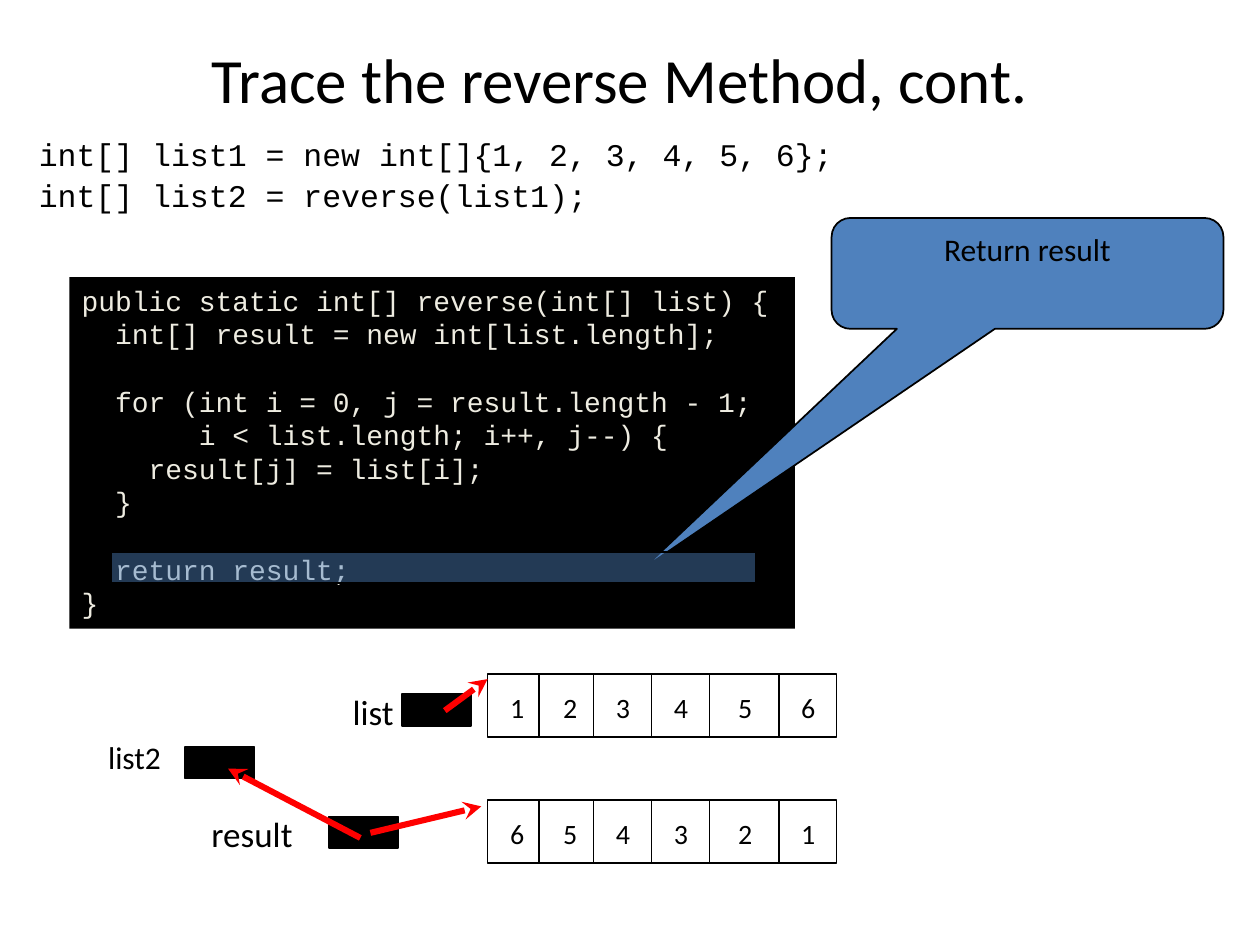
from dataclasses import dataclass

from lxml import etree
from pptx import Presentation
from pptx import util as u
from pptx.dml.color import RGBColor
from pptx.enum import shapes, text
from pptx.oxml import ns


@dataclass(frozen=True)
class Theme:
    black: str = "000000"
    cream: str = "EEECE1"
    blue: str = "4F81BD"
    red: str = "FF0000"
    body: str = "Calibri"
    mono: str = "Courier New"
    title_size: int = 36
    name_size: int = 20
    text_size: int = 18
    code_size: int = 16
    thin: float = 1
    thick: float = 3.5


class TraceSlide:
    def __init__(self, slide, theme):
        self.slide = slide
        self.theme = theme

    def set_words(self, frame, words, size, font=None, color=None,
                  align=text.PP_ALIGN.LEFT, anchor=text.MSO_ANCHOR.TOP):
        frame.word_wrap = True
        frame.vertical_anchor = anchor
        frame.text = words
        for line in frame.paragraphs:
            line.alignment = align
            for run in line.runs:
                run.font.size = u.Pt(size)
                run.font.name = font or self.theme.body
                run.font.color.rgb = RGBColor.from_string(color or self.theme.black)

    def label(self, box, words, size, grow=True, **style):
        frame = self.slide.shapes.add_textbox(*map(u.Inches, box)).text_frame
        self.set_words(frame, words, size, **style)
        if grow:
            frame.auto_size = text.MSO_AUTO_SIZE.SHAPE_TO_FIT_TEXT
        return frame

    def block(self, box, fill=None, outlined=True, alpha=None,
              kind=shapes.MSO_SHAPE.RECTANGLE):
        block = self.slide.shapes.add_shape(kind, *map(u.Inches, box))
        block.shadow.inherit = False
        if fill:
            block.fill.solid()
            block.fill.fore_color.rgb = RGBColor.from_string(fill)
        else:
            block.fill.background()
        if alpha:
            color = block._element.spPr.find(".//" + ns.qn("a:srgbClr"))
            etree.SubElement(color, ns.qn("a:alpha"), val=str(alpha * 1000))
        if outlined:
            block.line.color.rgb = RGBColor.from_string(self.theme.black)
            block.line.width = u.Pt(self.theme.thin)
        else:
            block.line.fill.background()
        return block

    def line(self, start, end, color, width, arrow=False):
        line = self.slide.shapes.add_connector(
            shapes.MSO_CONNECTOR.STRAIGHT, *map(u.Inches, (*start, *end)))
        line.line.color.rgb = RGBColor.from_string(color)
        line.line.width = u.Pt(width)
        properties = line._element.spPr
        if arrow:
            etree.SubElement(properties.find(ns.qn("a:ln")), ns.qn("a:tailEnd"),
                             type="stealth")
        etree.SubElement(properties, ns.qn("a:effectLst"))

    def arrow(self, start, end):
        self.line(start, end, self.theme.red, self.theme.thick, arrow=True)

    def array(self, top, values, edges, digit_lefts, height=0.5):
        self.block((edges[0], top, edges[-1] - edges[0], height))
        for x in edges[1:-1]:
            self.line((x, top), (x, top + height), self.theme.black, self.theme.thin)
        for left, value in zip(digit_lefts, values):
            self.label((left, top + 0.08, 0.25, 0.37), str(value), self.theme.code_size)

    def variable(self, name, name_box, size, slot):
        self.label(name_box, name, size)
        self.block((*slot, 0.55, 0.25), self.theme.black)


REVERSE_METHOD = """public static int[] reverse(int[] list) {
  int[] result = new int[list.length];
 
  for (int i = 0, j = result.length - 1;
       i < list.length; i++, j--) {
    result[j] = list[i];
  }
 
  return result;
}"""
CALLS = """int[] list1 = new int[]{1, 2, 3, 4, 5, 6};
int[] list2 = reverse(list1);"""
CELL_EDGES = (3.87, 4.28, 4.71, 5.17, 5.63, 6.18, 6.64)
DIGIT_LEFTS = (3.95, 4.37, 4.79, 5.25, 5.76, 6.26)


def main():
    deck = Presentation()
    deck.slide_width, deck.slide_height = u.Inches(10), u.Inches(7.5)
    theme = Theme()
    trace = TraceSlide(deck.slides.add_slide(deck.slide_layouts[6]), theme)

    # Title
    trace.label((0.67, 0.33, 8.5, 0.58), "Trace the reverse Method, cont.",
                theme.title_size, grow=False, align=text.PP_ALIGN.CENTER,
                anchor=text.MSO_ANCHOR.MIDDLE)

    # Method listing and the calls above it
    method = trace.block((0.55, 2.2, 5.76, 2.79), theme.black, outlined=False)
    trace.set_words(method.text_frame, REVERSE_METHOD, theme.code_size,
                    font=theme.mono, color=theme.cream)
    calls = trace.label((0.21, 1.06, 7.33, 0.75), CALLS, theme.text_size,
                        grow=False, font=theme.mono)
    for call in calls.paragraphs:
        call.line_spacing = 0.9
        call.space_before = u.Pt(3.6)

    # Arrays before and after reversal
    values = range(1, 7)
    trace.array(5.35, values, CELL_EDGES, DIGIT_LEFTS)
    trace.array(6.35, reversed(values), CELL_EDGES, DIGIT_LEFTS)

    # Callout and highlighted return statement
    callout = trace.block((6.6, 1.73, 3.11, 0.88), theme.blue,
                          kind=shapes.MSO_SHAPE.ROUNDED_RECTANGULAR_CALLOUT)
    for index, value in enumerate((-0.98, 2.66, 0.17)):
        callout.adjustments[index] = value
    trace.set_words(callout.text_frame, "Return result", theme.text_size,
                    align=text.PP_ALIGN.CENTER)
    trace.block((0.88, 4.38, 5.12, 0.25), theme.blue, alpha=45)

    # Variables and their references
    trace.variable("list", (2.7, 5.43, 0.83, 0.43), theme.name_size, (3.19, 5.51))
    trace.variable("list2", (0.76, 5.81, 1.17, 0.5), theme.text_size, (1.47, 5.93))
    trace.variable("result", (1.58, 6.4, 1.06, 0.43), theme.name_size, (2.61, 6.48))
    trace.arrow((3.53, 5.64), (3.87, 5.39))
    trace.arrow((2.94, 6.61), (3.82, 6.4))
    trace.arrow((2.86, 6.65), (1.81, 6.1))

    deck.save("out.pptx")


if __name__ == "__main__":
    main()
